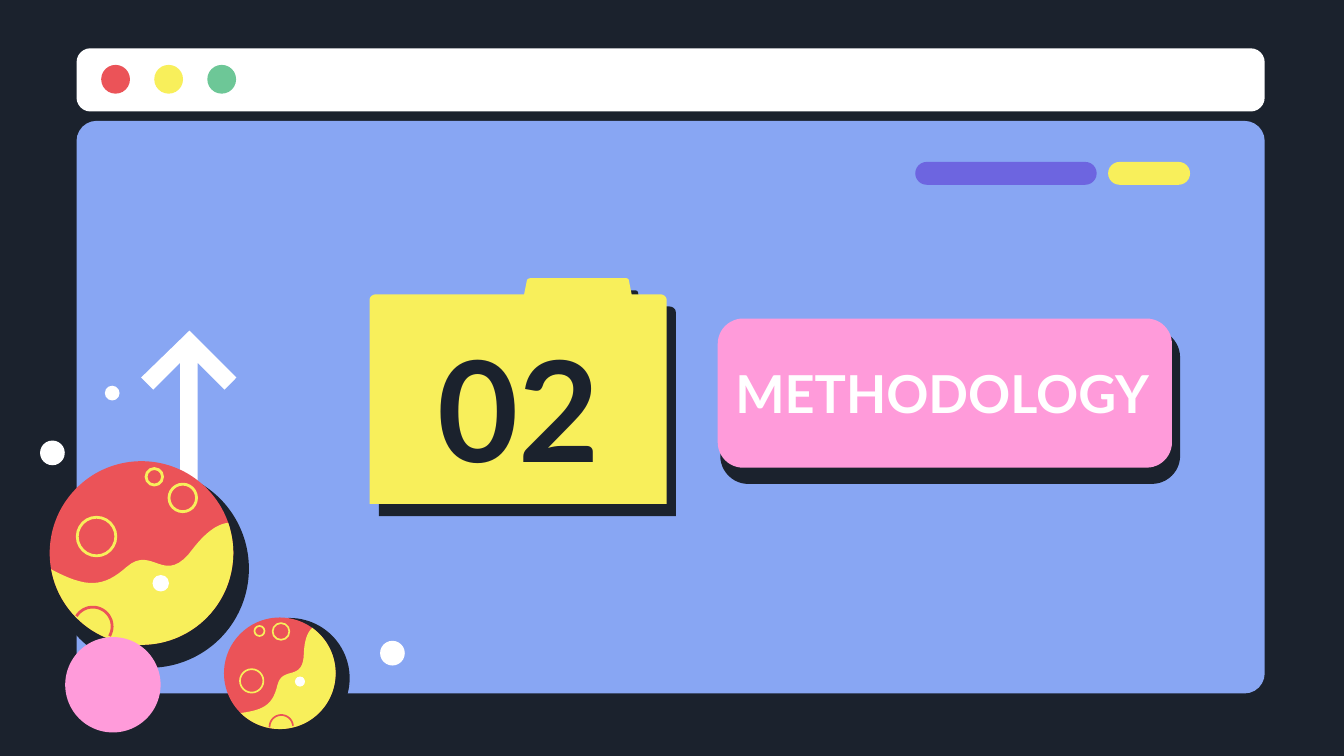
"""Build the "02 Methodology" section slide: a browser window, a folder and two planets."""
from math import cos, radians, sin

from lxml.etree import SubElement
from pptx import Presentation
from pptx.dml.color import RGBColor
from pptx.enum.shapes import MSO_SHAPE as Shape
from pptx.enum.text import MSO_ANCHOR as Anchor, PP_ALIGN as Align
from pptx.oxml.ns import qn
from pptx.util import Emu, Inches, Pt

WIDTH = Inches(10)
HEIGHT = WIDTH * 9 // 16
CELL = WIDTH / 100

INK = RGBColor(0x1B, 0x22, 0x2D)
BLUE = RGBColor(0x88, 0xA6, 0xF3)
WHITE = RGBColor(0xFF, 0xFF, 0xFF)
RED = RGBColor(0xEB, 0x53, 0x58)
YELLOW = RGBColor(0xF8, 0xEF, 0x5B)
GREEN = RGBColor(0x6D, 0xC7, 0x97)
PURPLE = RGBColor(0x6D, 0x65, 0xE0)
PINK = RGBColor(0xFF, 0x9B, 0xDA)

ARROW = [(13.4, 42.9), (13.4, 27), (11.4, 29), (10.5, 28.1), (14.1, 24.6),
         (17.6, 28.1), (16.7, 29), (14.7, 27), (14.7, 42.9)]
FOLDER = [(49.6, 22.3), (49.6, 37.5), (27.5, 37.5), (27.5, 22.3),
          (27.5, 22.1, 27.7, 21.9, 28, 21.9), (39, 21.9), (39.2, 20.9),
          (39.2, 20.8, 39.3, 20.7, 39.5, 20.7), (46.6, 20.7),
          (46.7, 20.7, 46.8, 20.8, 46.8, 20.9), (47, 21.9), (49.1, 21.9),
          (49.4, 21.9, 49.6, 22.1, 49.6, 22.3)]
WAVE = [(-0.98, 0.18), (-0.6, 0.38, -0.42, 0.38, -0.16, 0.15),
        (0.13, -0.1, 0.25, 0.39, 0.57, -0.06),
        (0.73, -0.26, 0.85, -0.32, 0.95, -0.33)]
CRATERS = [(-0.49, -0.18, 0.21), (0.45, -0.6, 0.15), (0.14, -0.83, 0.09)]


def grid(cells):
    """Turn a number of grid cells into a length."""
    return Emu(round(cells * CELL))


def paint(shape, fill=None, line=None, weight=0):
    """Set fill and outline of a shape and take its theme shadow away."""
    shape.shadow.inherit = False
    if fill is None:
        shape.fill.background()
    else:
        shape.fill.solid()
        shape.fill.fore_color.rgb = fill
    if line is None:
        shape.line.fill.background()
    else:
        shape.line.color.rgb = line
        shape.line.width = Pt(weight)
    return shape


def bar(slide, left, top, width, height, fill, rounding=0.5, **outline):
    """Add a rounded rectangle given in grid cells."""
    box = slide.shapes.add_shape(Shape.ROUNDED_RECTANGLE, *map(grid, (left, top, width, height)))
    box.adjustments[0] = rounding
    return paint(box, fill, **outline)


def disc(slide, x, y, radius, fill=None, **outline):
    """Add a circle around a centre given in grid cells."""
    corner = grid(x - radius), grid(y - radius)
    size = grid(2 * radius)
    return paint(slide.shapes.add_shape(Shape.OVAL, *corner, size, size), fill, **outline)


def trace(steps, pieces=16):
    """Flatten a path of points and cubic curves into points."""
    points = []
    for step in steps:
        if len(step) == 2:
            points.append(step)
            continue
        start, first, second, end = points[-1], step[:2], step[2:4], step[4:]
        for piece in range(1, pieces + 1):
            t = piece / pieces
            u = 1 - t
            points.append(tuple(
                u ** 3 * a + 3 * u * u * t * b + 3 * u * t * t * c + t ** 3 * d
                for a, b, c, d in zip(start, first, second, end)))
    return points


def arc(x, y, radius, start, end, pieces=60):
    """List points on a circle between two angles in degrees."""
    angles = [radians(start + (end - start) * n / pieces) for n in range(pieces + 1)]
    return [(x + radius * cos(a), y + radius * sin(a)) for a in angles]


def outline_shape(slide, points, fill=None, close=True, **outline):
    """Add a freeform through points given in grid cells."""
    spots = [(grid(x), grid(y)) for x, y in points]
    builder = slide.shapes.build_freeform(*spots[0])
    builder.add_line_segments(spots[1:], close=close)
    return paint(builder.convert_to_shape(), fill, **outline)


def cast_shadow(shape, color, distance, angle):
    """Give a shape a hard offset shadow."""
    effects = shape._element.spPr.find(qn("a:effectLst"))
    shadow = SubElement(effects, qn("a:outerShdw"), blurRad="0", dist=str(Pt(distance)),
                        dir=str(angle * 60000), algn="bl", rotWithShape="0")
    SubElement(shadow, qn("a:srgbClr"), val=str(color))


def label(slide, text, left, top, width, height, size, color):
    """Add a centred bold text in a box given in grid cells."""
    frame = slide.shapes.add_textbox(*map(grid, (left, top, width, height))).text_frame
    frame.word_wrap = True
    frame.vertical_anchor = Anchor.MIDDLE
    frame.margin_left = frame.margin_right = Inches(0.1)
    frame.margin_top = frame.margin_bottom = Inches(0.1)
    line = frame.paragraphs[0]
    line.alignment = Align.CENTER
    run = line.add_run()
    run.text = text
    run.font.name, run.font.size, run.font.bold = "Lato", Pt(size), True
    run.font.color.rgb = color


def planet(slide, x, y, radius, turn=0):
    """Add a cratered planet, its parts set out on a unit circle and turned by degrees."""
    c, s = cos(radians(turn)), sin(radians(turn))

    def place(px, py):
        return x + radius * (px * c - py * s), y + radius * (px * s + py * c)

    rim = radius * 0.22
    disc(slide, *place(0.09, 0.17), radius * 1.08, INK)
    disc(slide, x, y, radius, RED)
    for px, py, size in CRATERS:
        disc(slide, *place(px, py), radius * size, line=YELLOW, weight=rim)
    sea = trace(WAVE) + arc(0, 0, 1, -19, 170)
    outline_shape(slide, [place(*point) for point in sea], YELLOW)
    half_crater = arc(-0.53, 0.8, 0.21, 212, 390)
    outline_shape(slide, [place(*point) for point in half_crater], close=False,
                  line=RED, weight=rim)
    disc(slide, *place(0.21, 0.33), radius * 0.09, WHITE)


def window(slide):
    """Add the browser window with its lights and tabs."""
    bar(slide, 5.7, 9, 88.4, 42.6, BLUE, rounding=0.035)
    bar(slide, 5.7, 3.6, 88.4, 4.7, WHITE, rounding=0.22)
    for column, light in enumerate((RED, YELLOW, GREEN)):
        disc(slide, 8.6 + 3.95 * column, 5.9, 1.07, light)
    bar(slide, 68.1, 12.05, 13.5, 1.7, PURPLE)
    bar(slide, 82.45, 12.05, 6.1, 1.7, YELLOW)


def main():
    """Build and save the slide."""
    deck = Presentation()
    deck.slide_width, deck.slide_height = WIDTH, HEIGHT
    slide = deck.slides.add_slide(deck.slide_layouts[6])
    slide.background.fill.solid()
    slide.background.fill.fore_color.rgb = INK

    window(slide)
    disc(slide, 3.9, 33.7, 0.92, WHITE)
    outline_shape(slide, ARROW, WHITE)
    bar(slide, 53.8, 24.7, 33.8, 11.1, INK, rounding=0.17, line=INK, weight=3)
    bar(slide, 53.4, 23.7, 33.8, 11.1, PINK, rounding=0.17)
    folder = outline_shape(slide, trace(FOLDER), YELLOW)
    cast_shadow(folder, INK, 8.2, 53)
    label(slide, "02", 30.1, 25.3, 17, 9.9, 75, INK)
    label(slide, "METHODOLOGY", 53, 24.6, 34.2, 9.2, 28, WHITE)

    planet(slide, 10.53, 41.15, 6.83)
    disc(slide, 8.4, 50.95, 3.55, PINK)
    planet(slide, 20.82, 50.1, 4.15, turn=-35.2)
    disc(slide, 29.2, 48.6, 0.92, WHITE)
    disc(slide, 8.35, 29.25, 0.55, WHITE)
    deck.save("out.pptx")


if __name__ == "__main__":
    main()
